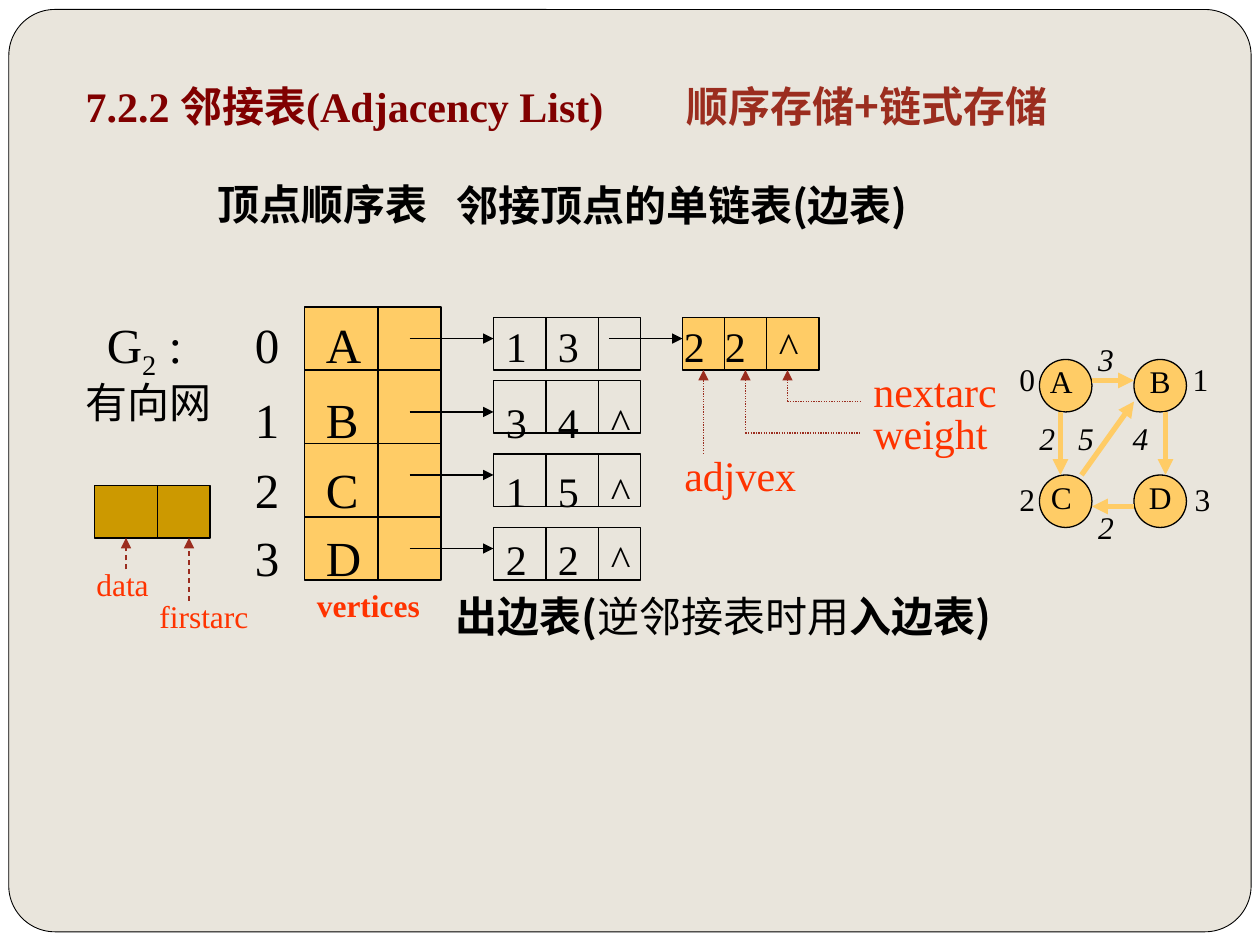
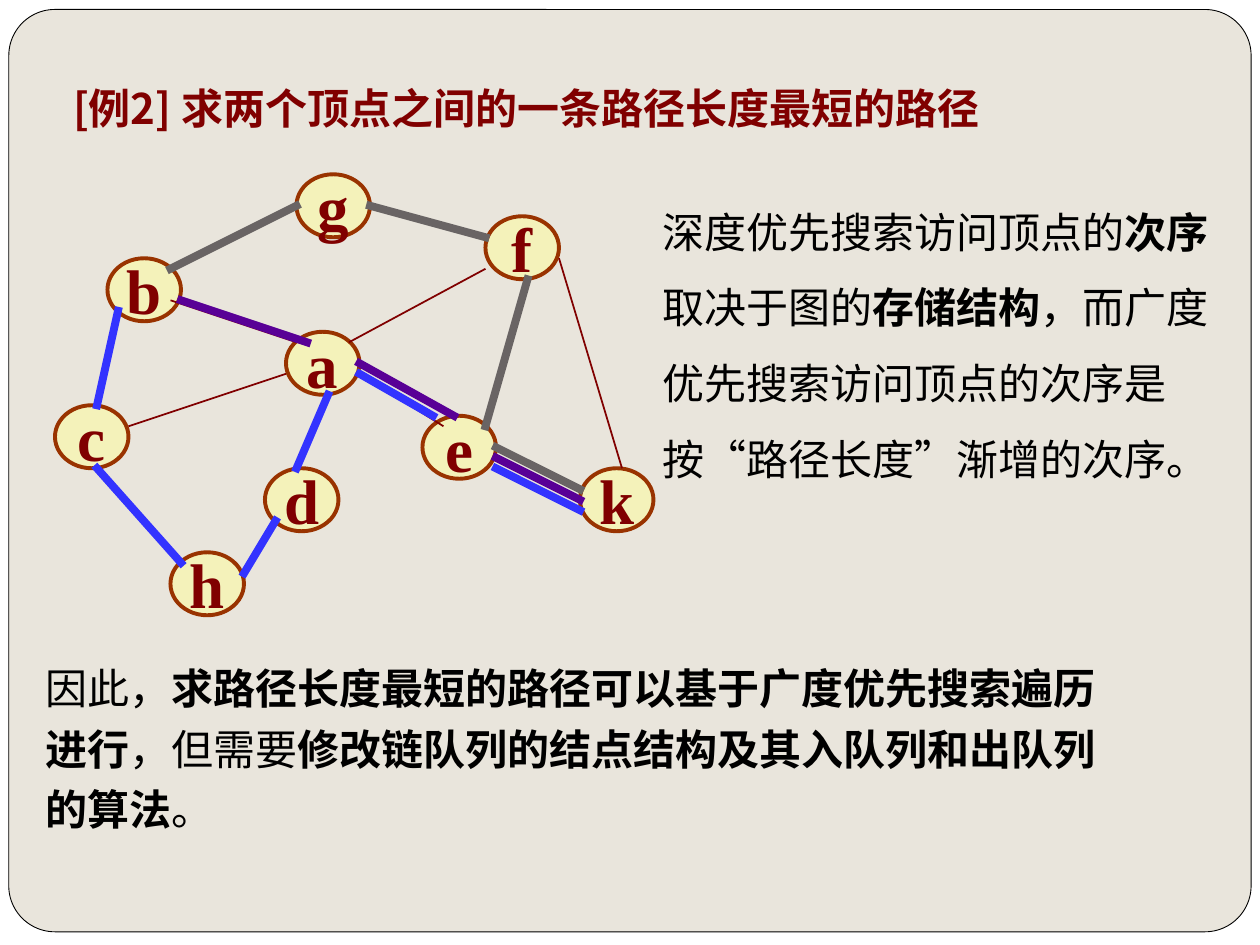
from dataclasses import dataclass
from lxml import etree
from pptx import Presentation
from pptx import util as u
from pptx.dml.color import RGBColor
from pptx.enum import dml, shapes, text
from pptx.oxml import ns

INK = {
    "panel": "E9E5DC", "black": "000000", "title": "800000", "rust": "9B2D1F",
    "label": "FF3300", "amber": "FFCC66", "ochre": "CC9900", "cream": "FFFF99",
    "rim": "993300", "blue": "3333FF", "purple": "590096", "gray": "696464",
}
SERIF, HAN = "Times New Roman", "Noto Sans CJK SC"
WIDTH, HEIGHT = 10, 7.5
UNIT = 1 / 12


@dataclass
class Grid:
    """Twelve columns and rows to the inch, shifted by dx and dy."""
    slide: object
    dx: float = 0
    dy: float = 0

    def at(self, col, row):
        return u.Inches(col * UNIT + self.dx), u.Inches(row * UNIT + self.dy)

    def box(self, col, row, wide, high):
        return *self.at(col, row), u.Inches(wide * UNIT), u.Inches(high * UNIT)


def share(left, top, wide, high):
    """Turn shares of the slide's size into a box."""
    return (u.Inches(left * WIDTH), u.Inches(top * HEIGHT),
            u.Inches(wide * WIDTH), u.Inches(high * HEIGHT))


def color(name):
    return RGBColor.from_string(INK[name])


def add(parent, tag, **attrs):
    return etree.SubElement(parent, ns.qn(tag), attrs)


def put(para, words, size=24, ink="black", face=SERIF, bold=False,
        italic=False, sub=False):
    """Add one run."""
    run = para.add_run()
    run.text = words
    font = run.font
    font.size, font.bold, font.italic = u.Pt(size), bold, italic
    font.color.rgb = color(ink)
    font.name = face
    add(font._element, "a:ea", typeface=HAN)
    if sub:
        font._element.set("baseline", "-25000")


def fill_para(para, runs, lines=None, align=text.PP_ALIGN.LEFT):
    """Lay out an unbulleted paragraph."""
    para.alignment = align
    para.space_before = u.Pt(0)
    if lines:
        para.line_spacing = lines
    props = para._p.get_or_add_pPr()
    props.set("marL", "0")
    props.set("indent", "0")
    add(props, "a:buNone")
    for words, style in runs:
        put(para, words, **style)


def place(holder, box, anchor=text.MSO_ANCHOR.TOP):
    """Move a placeholder and give back its text frame."""
    holder.left, holder.top, holder.width, holder.height = box
    frame = holder.text_frame
    frame.auto_size = text.MSO_AUTO_SIZE.NONE
    frame.vertical_anchor = anchor
    frame.word_wrap = True
    return frame


def note(grid, col, row, runs, wide):
    """Add a text box of several runs."""
    frame = grid.slide.shapes.add_textbox(*grid.box(col, row, wide, 5)).text_frame
    frame.word_wrap = True
    fill_para(frame.paragraphs[0], runs)


def label(grid, col, row, words, wide=17, **style):
    note(grid, col, row, [(words, style)], wide)


def block(slide, kind, box, fill=None, ink="black", weight=0.75):
    shape = slide.shapes.add_shape(kind, *box)
    shape.shadow.inherit = False
    if fill:
        shape.fill.solid()
        shape.fill.fore_color.rgb = color(fill)
    else:
        shape.fill.background()
    shape.line.color.rgb = color(ink)
    shape.line.width = u.Pt(weight)
    return shape


def line(grid, start, end, ink="black", weight=0.75, dash=None, arrow=False,
         square=False):
    link = grid.slide.shapes.add_connector(
        shapes.MSO_CONNECTOR.STRAIGHT, *grid.at(*start), *grid.at(*end))
    link.line.color.rgb = color(ink)
    link.line.width = u.Pt(weight)
    if dash:
        link.line.dash_style = dash
    stroke = link.line._get_or_add_ln()
    if square:
        stroke.set("cap", "sq")
    if arrow:
        add(stroke, "a:tailEnd", type="triangle")
    add(link._element.spPr, "a:effectLst")


def cells(grid, col, row, wide, high, cuts=(), fill=None):
    """Draw a rectangle cut by upright lines at the given columns."""
    block(grid.slide, shapes.MSO_SHAPE.RECTANGLE,
          grid.box(col, row, wide, high), fill)
    for cut in cuts:
        line(grid, (cut, row), (cut, row + high))


def node(grid, col, row, wide, high, name, fill, style, **rim):
    shape = block(grid.slide, shapes.MSO_SHAPE.OVAL,
                  grid.box(col, row, wide, high), fill, **rim)
    frame = shape.text_frame
    frame.word_wrap = False
    frame.vertical_anchor = text.MSO_ANCHOR.MIDDLE
    fill_para(frame.paragraphs[0], [(name, style)], align=text.PP_ALIGN.CENTER)
    return shape


def edges(grid, ends, ink, weight=4.5):
    for a, b, c, d in ends:
        line(grid, (a, b), (c, d), ink, weight, square=weight > 1)


def add_panel(prs, slide):
    """Put the rounded panel behind everything, on the master."""
    panel = block(slide, shapes.MSO_SHAPE.ROUNDED_RECTANGLE,
                  share(.007, .01, .986, .976), "panel", weight=0.5)
    panel.adjustments[0] = 0.05
    prs.slide_master.shapes.element.insert(2, panel._element)


def list_heads(grid):
    """Title and headings of the adjacency list."""
    heavy = dict(face=HAN, bold=True)
    title = place(grid.slide.shapes.title, share(.058, .067, .47, .09),
                  text.MSO_ANCHOR.MIDDLE)
    fill_para(title.paragraphs[0], [
        ("7.2.2 邻接表(Adjacency List)", dict(ink="title", bold=True))])
    label(grid, 64.2, 6.8, "顺序存储+链式存储", 44, ink="rust", **heavy)
    label(grid, 19.5, 16.2, "顶点顺序表", 24, **heavy)
    body = place(grid.slide.placeholders[1], share(.352, .183, .5, .07))
    fill_para(body.paragraphs[0], [("邻接顶点的单链表(边表)", heavy)])
    note(grid, 42.2, 55.4, [("出边表(", heavy), ("逆邻接表时用", dict(face=HAN)),
                            ("入边表)", heavy)], 64)


def list_boxes(grid):
    """Vertex table with its chains of arc boxes."""
    cells(grid, 29, 29, 13, 26, [36], "amber")
    for row in (35, 42, 49):
        line(grid, (29, row), (42, row))
    for row, level in ((30, 32), (36, 39), (43, 45), (50, 52)):
        cells(grid, 47, row, 14, 5, [52, 57])
        line(grid, (39, level), (47, level), arrow=True)
    cells(grid, 65, 30, 13, 5, [69, 73], "amber")
    line(grid, (58, 32), (65, 32), arrow=True)


def list_values(grid):
    """Write the vertices and their arcs over the boxes."""
    big = dict(size=28)
    note(grid, 9, 29.1, [("G", big), ("2", dict(size=28, sub=True)),
                         (" :", big)], 12)
    first, second = (47, 51.95, 57), (63.95, 67.85, 73)
    rows = ((29.1, "A", "13"), (36.3, "B", "34^"), (42.9, "C", "15^"),
            (49.4, "D", "22^"))
    for index, (row, name, arc) in enumerate(rows):
        label(grid, 23.1, row, str(index), 6, **big)
        label(grid, 29.85, row, name, 8, **big)
        for col, value in zip(first, arc):
            label(grid, col, row + .6, value, 5)
    for col, value in zip(second, "22^"):
        label(grid, col, 29.7, value, 5)


def field_notes(grid):
    """Name the fields of an arc box and of a vertex box."""
    dots = dict(ink="rust", dash=dml.MSO_LINE.ROUND_DOT)
    for col, row in ((75, 38), (71, 41), (67, 43)):
        line(grid, (col, row), (col, 35), arrow=True, **dots)
    for col, row in ((75, 38), (71, 41)):
        line(grid, (col, row), (82, row), **dots)
    for col, row, words in ((82, 34, "nextarc"), (82, 38, "weight"),
                            (64, 42, "adjvex")):
        label(grid, col, row, words, ink="label")
    label(grid, 7, 35, "有向网")
    cells(grid, 9, 46, 11, 5, [15], "ochre")
    for col, row in ((12, 54), (18, 57)):
        line(grid, (col, row), (col, 51), "rust", dash=dml.MSO_LINE.DASH, arrow=True)
    label(grid, 8, 53, "data", size=18, ink="label")
    label(grid, 14, 56, "firstarc", size=18, ink="label")
    label(grid, 29, 55, "vertices", size=18, ink="label", bold=True)


def net_graph(grid):
    """Weighted directed graph of four vertices."""
    names = iter("ABCD")
    for row in (34, 45):
        for col, inset in ((99, .07), (108, 0)):
            shape = node(grid, col, row, 5, 5, next(names), "amber", dict(size=18))
            frame = shape.text_frame
            frame.margin_left = frame.margin_top = 0
            frame.margin_right = u.Inches(inset)
            frame.margin_bottom = u.Inches(.07)
    for i, (col, row) in enumerate(((95.9, 33.5), (112.4, 33.5),
                                    (95.9, 44.9), (112.6, 44.9))):
        label(grid, col, row, str(i), 5, size=18)
    for a, b, c, d in ((101, 39, 101, 45), (111, 39, 111, 45),
                       (104, 36, 108, 36), (108, 48, 104, 48), (103, 45, 108, 38)):
        line(grid, (a, b), (c, d), "amber", 3, arrow=True)
    for col, row, cost in ((103.4, 31.6, 3), (97.8, 39.1, 2), (101.5, 39.1, 5),
                           (106.7, 39.1, 4), (103.4, 47.6, 2)):
        label(grid, col, row, str(cost), 5, size=18, italic=True)


def path_text(slide):
    title = place(slide.shapes.title, share(.048, .067, .861, .08))
    fill_para(title.paragraphs[0], [
        ("[例2] 求两个顶点之间的一条路径长度最短的路径",
         dict(ink="title", face=HAN, bold=True))], lines=1.25)
    plain, heavy = {}, dict(bold=True)
    body = place(slide.placeholders[1], share(.026, .684, .885, .207))
    fill_para(body.paragraphs[0], [
        ("因此，", plain), ("求路径长度最短的路径可以基于广度优先搜索遍历进行", heavy),
        ("，但需要", plain), ("修改链队列的结点结构及其入队列和出队列的算法", heavy),
        ("。", plain)], lines=1.2)
    side = slide.shapes.add_textbox(*share(.516, .185, .458, .336)).text_frame
    side.word_wrap = True
    fill_para(side.paragraphs[0], [
        ("深度优先搜索访问顶点的", plain), ("次序", heavy), ("取决于图的", plain),
        ("存储结构", heavy),
        ("，而广度优先搜索访问顶点的次序是按“路径长度”渐增的次序。", plain)], lines=1.5)


def path_graph(grid):
    """Undirected graph with three paths from b to k."""
    spots = {"a": (27, 31), "b": (10, 24), "c": (5, 38), "h": (16, 52),
             "d": (25, 44), "e": (40, 39), "k": (55, 44), "f": (46, 20),
             "g": (28, 16)}
    style = dict(size=36, ink="title", bold=True)
    for name, (col, row) in spots.items():
        shape = node(grid, col, row, 7, 6, name, "cream", style,
                     ink="rim", weight=2.25)
        tint = shape._element.spPr.find(ns.qn("a:solidFill"))[0]
        add(tint, "a:alpha", val="50000")
    ch, hd, da = (9, 44, 17, 53), (26, 49, 23, 54), (31, 37, 28, 44)
    bg, gf, fe = (16, 25, 28, 19), (35, 19, 46, 22), (50, 26, 46, 40)
    ek = (47, 43, 55, 47)
    edges(grid, [ch, hd, da, bg, gf, fe, ek, (27, 35, 12, 40), (34, 35, 42, 40),
                 (53, 24, 59, 44), (16, 28, 28, 32), (46, 25, 33, 32),
                 (11, 30, 9, 38)], "title", 1)
    edges(grid, [(11, 29, 9, 38), ch, hd, da, (34, 35, 41, 39),
                 (47, 44, 55, 48)], "blue")
    edges(grid, [(17, 28, 29, 32), (34, 34, 43, 39), ek], "purple")
    edges(grid, [bg, gf, fe, (47, 42, 55, 46)], "gray")


def main():
    prs = Presentation()
    prs.slide_width, prs.slide_height = u.Inches(WIDTH), u.Inches(HEIGHT)
    layout = prs.slide_layouts[1]

    first = prs.slides.add_slide(layout)
    add_panel(prs, first)
    grid = Grid(first, dy=.02)
    list_heads(grid)
    list_boxes(grid)
    list_values(grid)
    field_notes(grid)
    net_graph(grid)

    second = prs.slides.add_slide(layout)
    path_text(second)
    path_graph(Grid(second, .02, .05))
    prs.save("out.pptx")


if __name__ == "__main__":
    main()
